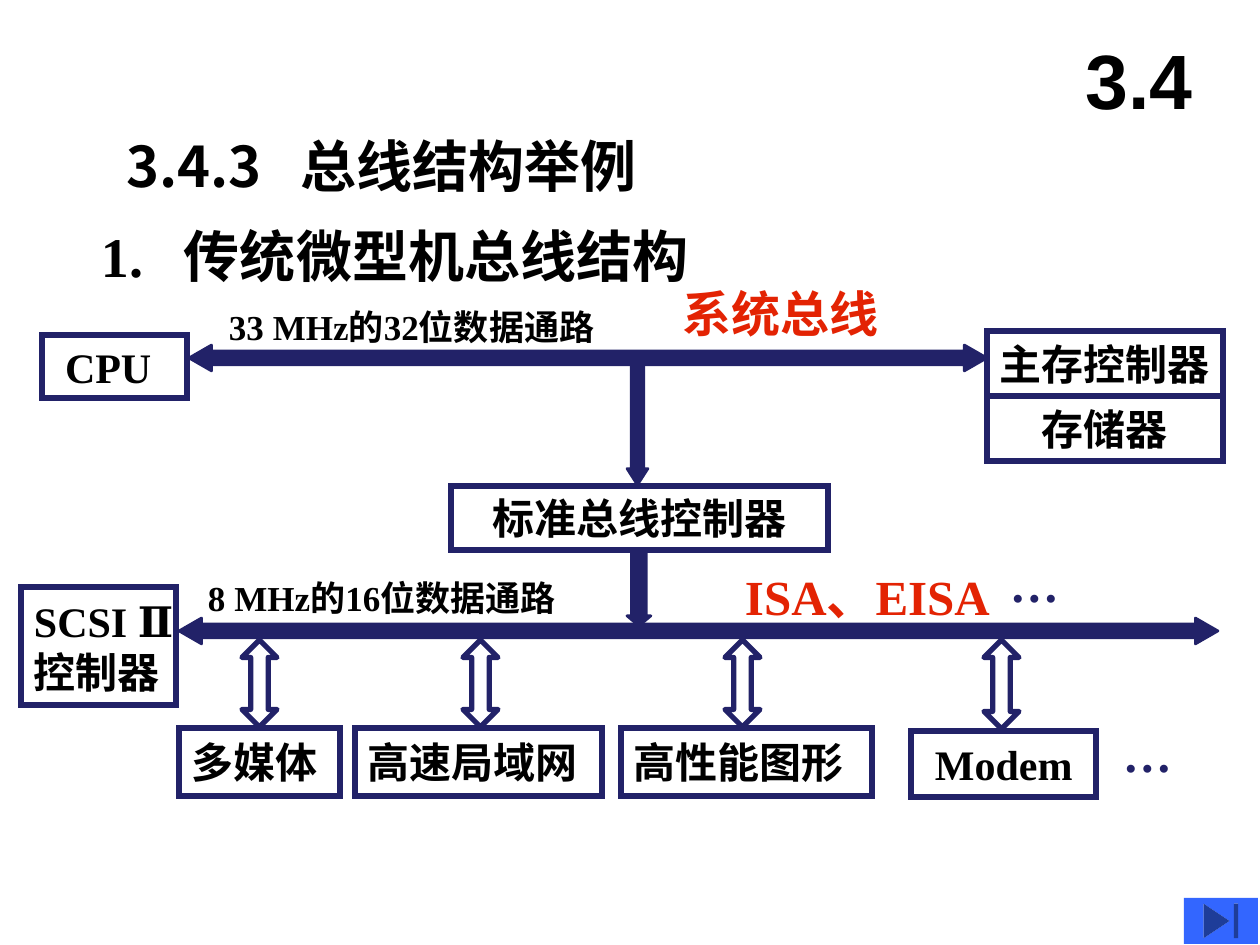
import pptx
import pptx.util
import pptx.dml.color
import pptx.enum.shapes
import pptx.enum.text

PX = 914400 // 126
SHAPE = pptx.enum.shapes.MSO_SHAPE
ALIGN = pptx.enum.text.PP_ALIGN
ANCHOR = pptx.enum.text.MSO_ANCHOR
COLORS = {"text": "000000", "bus": "222268", "accent": "E32303", "button": "3366FF"}
TIMES, CJK, ARIAL = "Times New Roman", "Noto Sans CJK SC", "Arial"
LINE_HEIGHT = 1.2

TITLE = ("3.4", (1060, 21, 158, 116))
HEADINGS = [
    ("3.4.3\t总线结构举例", CJK, (126, 131, 600, 70), 174),
    ("1.\t传统微型机总线结构", TIMES, (101, 221, 660, 70), 83),
]
LABELS = [
    ([("33 MHz的32", TIMES), ("位数据通路", CJK)], 20, "text", (229, 305, 420, 42)),
    ([("系统总线", CJK)], 28, "accent", (683, 284, 240, 59)),
    ([("8 MHz的16", TIMES), ("位数据通路", CJK)], 20, "text", (208, 577, 420, 42)),
    ([("ISA、EISA", TIMES)], 28, "accent", (745, 567, 320, 59)),
    ([("…", TIMES)], 28, "bus", (1010, 554, 70, 59)),
    ([("…", TIMES)], 28, "bus", (1123, 724, 70, 59)),
]
BOXES = [
    ([("CPU", TIMES)], (42, 335, 145, 63), 23),
    ([("主存控制器", CJK)], (987, 331, 236, 65), None),
    ([("存储器", CJK)], (987, 396, 236, 65), None),
    ([("标准总线控制器", CJK)], (451, 486, 377, 64), None),
    ([("SCSI Ⅱ", TIMES), ("控制器", CJK)], (21, 587, 155, 118), 13),
    ([("多媒体", TIMES)], (179, 728, 161, 68), 13),
    ([("高速局域网", TIMES)], (355, 728, 247, 68), 13),
    ([("高性能图形", TIMES)], (621, 728, 251, 68), 13),
    ([("Modem", TIMES)], (911, 731, 185, 66), 24),
]
BUSES = [
    (SHAPE.LEFT_RIGHT_ARROW, (189, 345, 798, 26), (0.53, 0.87)),
    (SHAPE.LEFT_RIGHT_ARROW, (179, 618, 1039, 26), (0.53, 0.87)),
    (SHAPE.DOWN_ARROW, (627, 359, 21, 126), (0.6, 0.78)),
    (SHAPE.DOWN_ARROW, (627, 549, 24, 77), (0.62, 0.42)),
]
DEVICE_LINKS = [(259, 727), (480, 727), (742, 727), (1001, 729)]
LINK_TOP, LINK_WIDTH = 640, 35
BUTTON = (1184, 898, 74, 46)


def emu(box):
    return [v * PX for v in box]


def rgb(name):
    return pptx.dml.color.RGBColor.from_string(COLORS[name])


def add_run(p, text, font, size, color="text"):
    r = p.add_run()
    r.text = text
    r.font.name = font
    r.font.size = pptx.util.Pt(size)
    r.font.bold = True
    r.font.color.rgb = rgb(color)
    ea = r.font._element.makeelement(pptx.oxml.ns.qn("a:ea"), {"typeface": CJK})
    r.font._element.find(pptx.oxml.ns.qn("a:latin")).addnext(ea)


def set_margins(tf, left=0, right=0):
    tf.margin_left, tf.margin_right = left * PX, right * PX
    tf.margin_top = tf.margin_bottom = 0


def add_label(slide, runs, size, color, box):
    tf = slide.shapes.add_textbox(*emu(box)).text_frame
    tf.word_wrap = True
    set_margins(tf)
    p = tf.paragraphs[0]
    p.line_spacing = pptx.util.Pt(size * LINE_HEIGHT)
    for text, font in runs:
        add_run(p, text, font, size, color)
    return p


def add_shape(slide, kind, box, fill=None, line=None, width=3):
    sp = slide.shapes.add_shape(kind, *emu(box))
    sp.shadow.inherit = False
    if fill:
        sp.fill.solid()
        sp.fill.fore_color.rgb = rgb(fill)
    else:
        sp.fill.background()
    if line:
        sp.line.color.rgb = rgb(line)
        sp.line.width = pptx.util.Pt(width)
    else:
        sp.line.fill.background()
    return sp


def add_box(slide, lines, box, inset):
    sp = add_shape(slide, SHAPE.RECTANGLE, box, line="bus")
    ln = sp.line._get_or_add_ln()
    ln.append(ln.makeelement(pptx.oxml.ns.qn("a:miter"), {"lim": "800000"}))
    tf = sp.text_frame
    tf.word_wrap = True
    tf.vertical_anchor = ANCHOR.MIDDLE
    set_margins(tf, inset or 0)
    for i, (text, font) in enumerate(lines):
        p = tf.add_paragraph() if i else tf.paragraphs[0]
        p.alignment = ALIGN.CENTER if inset is None else ALIGN.LEFT
        p.line_spacing = pptx.util.Pt(24 * LINE_HEIGHT)
        add_run(p, text, font, 24)


def add_title(slide, text, box):
    sp = slide.shapes.title
    sp.left, sp.top, sp.width, sp.height = emu(box)
    tf = sp.text_frame
    tf.vertical_anchor = ANCHOR.MIDDLE
    p = tf.paragraphs[0]
    p.alignment = ALIGN.CENTER
    add_run(p, text, ARIAL, 44)


def main():
    prs = pptx.Presentation()
    prs.slide_width, prs.slide_height = emu((1260, 945))
    slide = prs.slides.add_slide(prs.slide_layouts[5])
    add_title(slide, *TITLE)
    for text, font, box, hang in HEADINGS:
        p = add_label(slide, [(text, font)], 32, "text", box)
        pPr = p._p.get_or_add_pPr()
        pPr.set("marL", str(hang * PX))
        pPr.set("indent", str(-hang * PX))
    for kind, box, adjustments in BUSES:
        sp = add_shape(slide, kind, box, "bus", "bus", 1.5)
        for i, value in enumerate(adjustments):
            sp.adjustments[i] = value
    for center, bottom in DEVICE_LINKS:
        box = (center - LINK_WIDTH // 2, LINK_TOP, LINK_WIDTH, bottom - LINK_TOP)
        add_shape(slide, SHAPE.UP_DOWN_ARROW, box, line="bus")
    for box in BOXES:
        add_box(slide, *box)
    for label in LABELS:
        add_label(slide, *label)
    add_shape(slide, SHAPE.ACTION_BUTTON_END, BUTTON, "button")
    prs.save("out.pptx")


if __name__ == "__main__":
    main()
